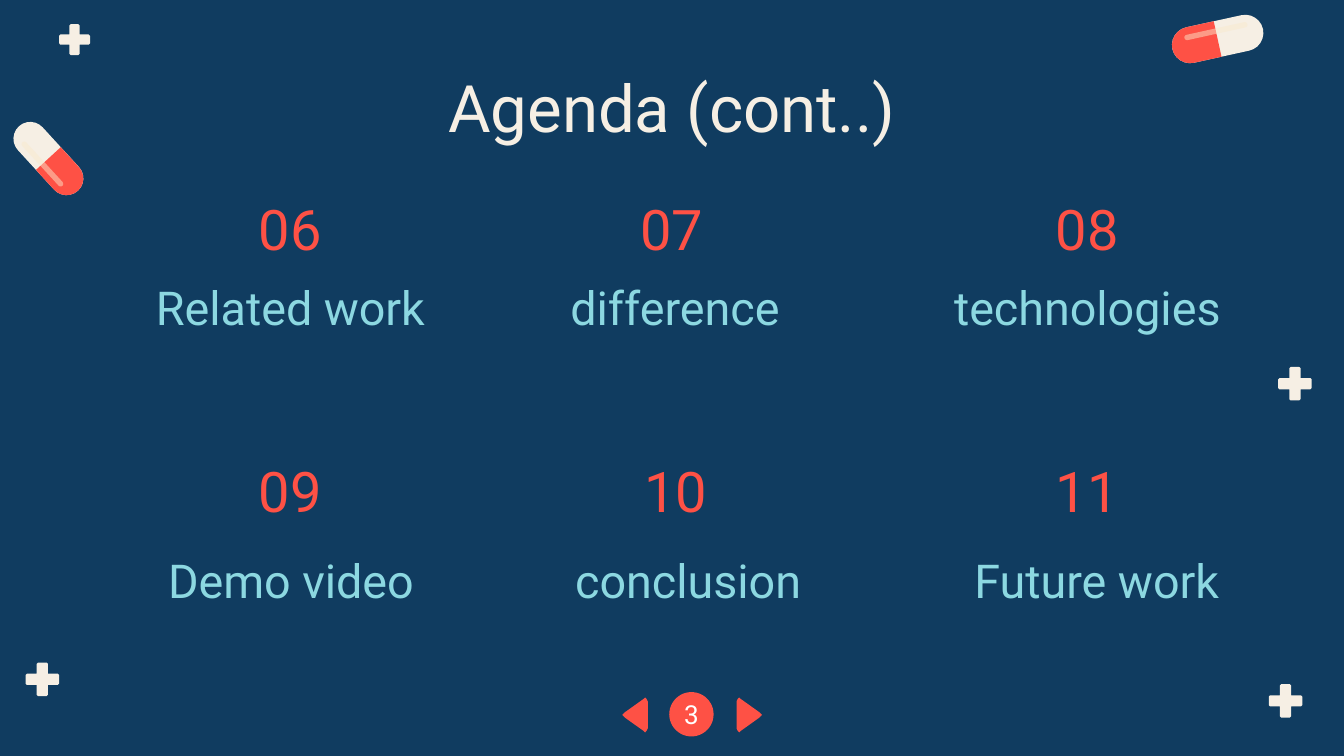
from math import cos, radians, sin

from lxml.etree import SubElement
from pptx import Presentation
from pptx.dml.color import RGBColor
from pptx.enum.shapes import MSO_SHAPE
from pptx.enum.text import MSO_ANCHOR, PP_ALIGN
from pptx.oxml.ns import qn
from pptx.util import Inches, Pt

NAVY, CREAM, RED, AQUA = "103C60", "F6EFE4", "FE5145", "8CD8E1"
SHINE, WHITE = "FAE9CD", "FFFFFF"
FONT = "Roboto"

# Per row: number top, label top, then (number, left, label, left, width)
AGENDA = [
    (1.37, 2.08, [("06", 1.66, "Related work", 0.52, 3.28),
                  ("07", 4.5, "difference ", 3.68, 2.77),
                  ("08", 7.59, "technologies", 6.45, 3.28)]),
    (3.32, 4.11, [("09", 1.66, "Demo video", 0.78, 2.77),
                  ("10", 4.53, "conclusion", 3.55, 3.14),
                  ("11", 7.59, "Future work", 6.59, 3.14)]),
]
# Left, top and size
PLUSES = [(9.51, 2.73, 0.25), (0.44, 0.18, 0.23),
          (0.19, 4.93, 0.25), (9.44, 5.09, 0.25)]
# Arrow outline pointing right, relative to its flat side's top corner
ARROW = [(0, 0.03), (0.01, 0.01), (0.02, 0), (0.03, 0.01), (0.17, 0.11),
         (0.19, 0.13), (0.17, 0.15), (0.03, 0.25), (0.02, 0.26),
         (0.01, 0.25), (0, 0.23)]


def rgb(color):
    return RGBColor.from_string(color)


def paint(sp, color, alpha=None):
    sp.shadow.inherit = False
    sp.line.fill.background()
    sp.fill.solid()
    sp.fill.fore_color.rgb = rgb(color)
    if alpha is not None:
        clr = sp._element.spPr.find(qn("a:solidFill"))[0]
        SubElement(clr, qn("a:alpha")).set("val", str(alpha * 1000))
    return sp


def write(sp, text, size, color, anchor=MSO_ANCHOR.MIDDLE, side=0.1):
    tf = sp.text_frame
    tf.word_wrap = True
    tf.vertical_anchor = anchor
    tf.margin_left = tf.margin_right = Inches(side)
    tf.margin_top = tf.margin_bottom = Inches(0.1)
    p = tf.paragraphs[0]
    p.alignment = PP_ALIGN.CENTER
    p.line_spacing = 1
    p.space_before = Pt(0)
    r = p.add_run()
    r.text = text
    r.font.size = Pt(size)
    r.font.name = FONT
    r.font.bold = False
    r.font.color.rgb = rgb(color)


def add_label(s, text, x, y, w, h, **fmt):
    write(s.shapes.add_textbox(Inches(x), Inches(y), Inches(w), Inches(h)),
          text, **fmt)


def add_outline(s, points, color):
    pts = [(Inches(x), Inches(y)) for x, y in points]
    builder = s.shapes.build_freeform(*pts[0])
    builder.add_line_segments(pts[1:], close=True)
    paint(builder.convert_to_shape(), color)


def add_plus(s, left, top, size):
    """Cross with slightly cut corners, made of one arm turned four times."""
    a, b, cut = size / 6, size / 2, 0.01
    arm = [(-a, -a), (-a, cut - b), (cut - a, -b), (a - cut, -b), (a, cut - b)]
    points = []
    for _ in range(4):
        points += [(left + b + x, top + b + y) for x, y in arm]
        arm = [(-y, x) for x, y in arm]
    add_outline(s, points, CREAM)


def add_bar(s, preset, cx, cy, w, h, angle, color, alpha=None):
    """Upright rounded bar around a centre, turned by angle."""
    sp = s.shapes.add_shape(preset, Inches(cx - w / 2), Inches(cy - h / 2),
                            Inches(w), Inches(h))
    sp.adjustments[0] = 0.5
    sp.rotation = angle
    paint(sp, color, alpha)


def add_pill(s, cx, cy, length, width, angle, shine):
    """Capsule whose red end points along angle, clockwise from up."""
    dx, dy = sin(radians(angle)), -cos(radians(angle))
    add_bar(s, MSO_SHAPE.ROUNDED_RECTANGLE, cx, cy, width, length, angle, CREAM)
    add_bar(s, MSO_SHAPE.ROUND_2_SAME_RECTANGLE, cx + dx * length / 4,
            cy + dy * length / 4, width, length / 2, angle, RED)
    add_bar(s, MSO_SHAPE.ROUNDED_RECTANGLE, cx - dy * 0.06, cy + dx * 0.06,
            0.04, shine, angle, SHINE, 49)


def add_pager(s, number):
    sp = s.shapes.add_shape(MSO_SHAPE.OVAL, Inches(4.98), Inches(5.15),
                            Inches(0.33), Inches(0.33))
    write(paint(sp, RED), number, 14, WHITE, side=0)
    for x, direction in ((5.48, 1), (4.82, -1)):
        add_outline(s, [(x + direction * px, 5.19 + py) for px, py in ARROW], RED)


def add_title(s, text):
    title = s.shapes.title
    title.left, title.top = Inches(0.78), Inches(0.4)
    title.width, title.height = Inches(8.44), Inches(0.63)
    write(title, text, 35, CREAM, anchor=MSO_ANCHOR.TOP)


def main():
    prs = Presentation()
    prs.slide_width = Inches(10)
    prs.slide_height = prs.slide_width * 9 // 16
    s = prs.slides.add_slide(prs.slide_layouts[5])
    s.background.fill.solid()
    s.background.fill.fore_color.rgb = rgb(NAVY)

    for plus in PLUSES:
        add_plus(s, *plus)
    add_pill(s, 0.36, 1.18, 0.65, 0.25, 137.5, 0.44)
    add_pill(s, 9.06, 0.29, 0.69, 0.27, 257.6, 0.48)
    add_title(s, "Agenda (cont..)")
    add_pager(s, "3")

    for number_top, label_top, items in AGENDA:
        for number, number_left, label, label_left, width in items:
            add_label(s, label, label_left, label_top, width, 0.41,
                      size=25, color=AQUA)
            add_label(s, number, number_left, number_top, 1, 0.65,
                      size=30, color=RED)
    prs.save("out.pptx")


if __name__ == "__main__":
    main()
